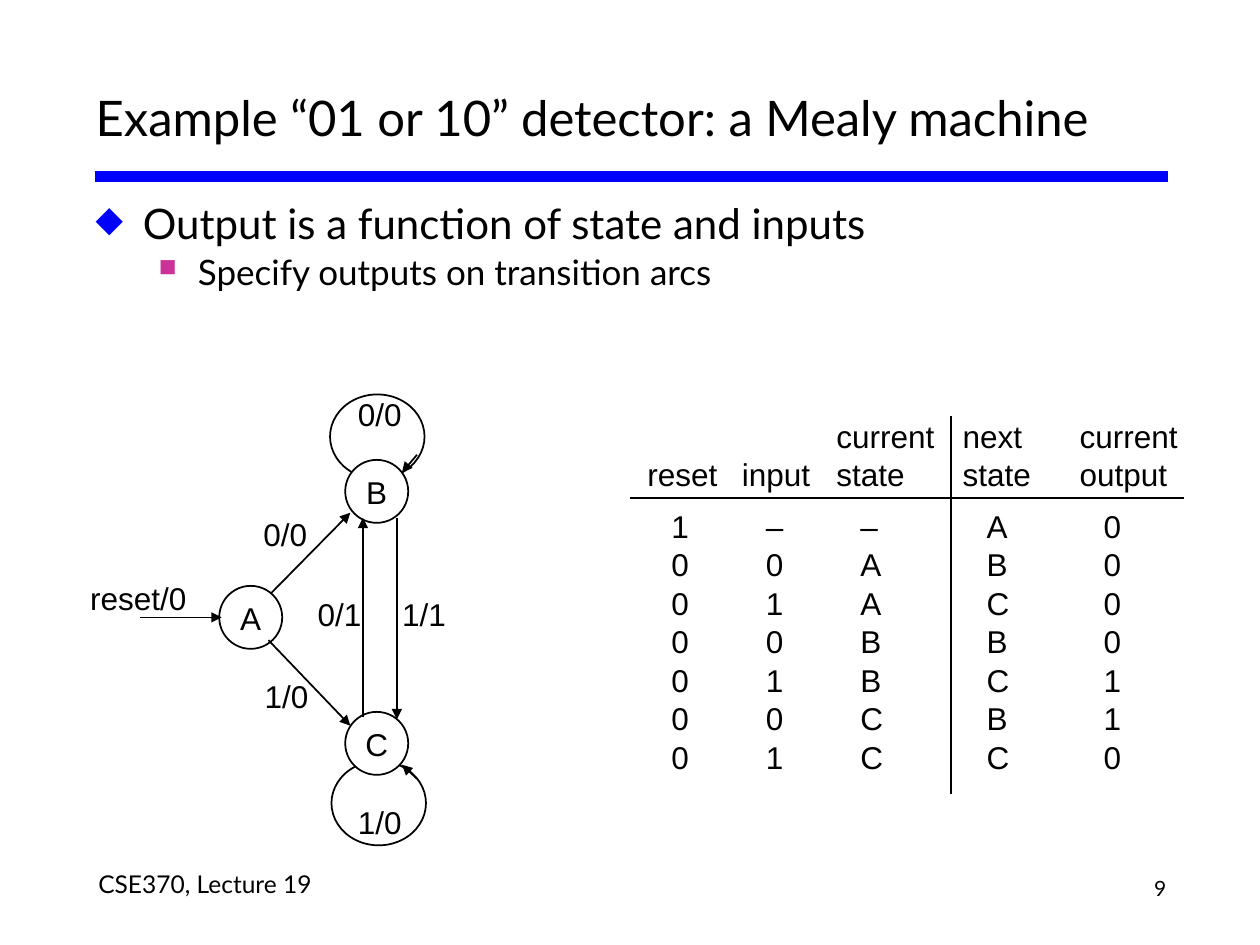
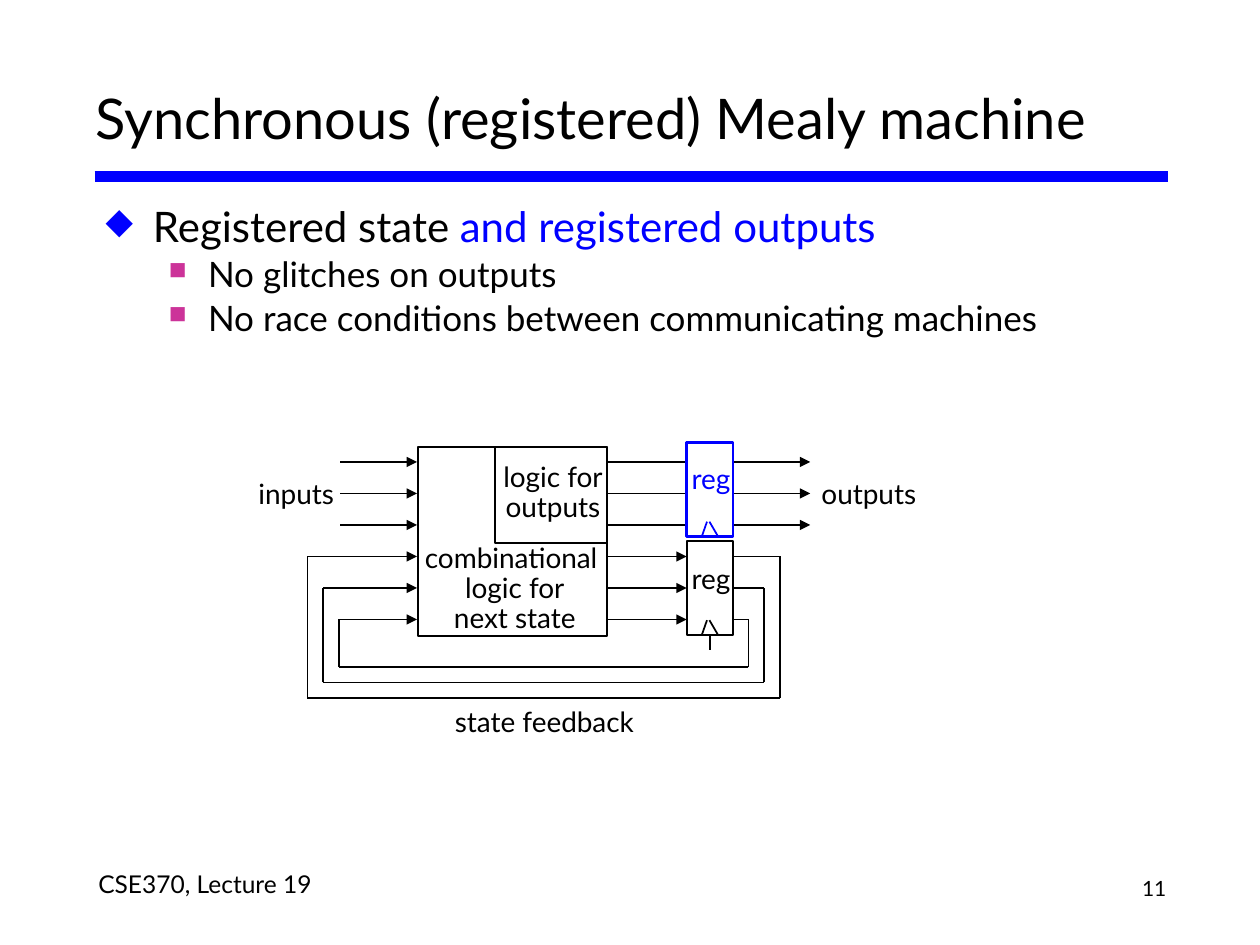
import pptx
import pptx.util
import pptx.dml.color
import pptx.enum.shapes
import pptx.enum.text
import pptx.oxml.ns
from lxml import etree

Pt = pptx.util.Pt
qn = pptx.oxml.ns.qn
SHAPE = pptx.enum.shapes.MSO_SHAPE
ALIGN = pptx.enum.text.PP_ALIGN
ANCHOR = pptx.enum.text.MSO_ANCHOR
BLACK = pptx.dml.color.RGBColor(0x00, 0x00, 0x00)
WHITE = pptx.dml.color.RGBColor(0xFF, 0xFF, 0xFF)
BLUE = pptx.dml.color.RGBColor(0x00, 0x00, 0xFF)
MAGENTA = pptx.dml.color.RGBColor(0xCC, 0x33, 0x99)
NO_TABLE_STYLE = "{2D5ABB26-0587-4C30-8999-92F81FD0307C}"


def add_label(slide, left, top, width, height, text, size, spacing,
              font="Lato", color=BLACK, align=ALIGN.LEFT):
    frame = slide.shapes.add_textbox(Pt(left), Pt(top), Pt(width), Pt(height)).text_frame
    frame.margin_left = frame.margin_right = Pt(1.44)
    frame.margin_top = frame.margin_bottom = Pt(2.16)
    frame.word_wrap = False
    frame.text = text
    paragraph = frame.paragraphs[0]
    paragraph.alignment = align
    paragraph.line_spacing = Pt(spacing)
    paragraph.font.size = Pt(size)
    paragraph.font.name = font
    paragraph.font.color.rgb = color


def add_line(slide, start, end, width=1, color=BLACK, arrow=False):
    line = slide.shapes.add_connector(
        pptx.enum.shapes.MSO_CONNECTOR.STRAIGHT,
        Pt(start[0]), Pt(start[1]), Pt(end[0]), Pt(end[1]))
    line.line.width = Pt(width)
    line.line.color.rgb = color
    properties = line._element.spPr
    if arrow:
        etree.SubElement(properties.find(qn("a:ln")), qn("a:tailEnd"), type="triangle")
    etree.SubElement(properties, qn("a:effectLst"))
    return line


deck = pptx.Presentation()
deck.slide_width = Pt(720)
deck.slide_height = Pt(540)

contents = [
    ("Example “01 or 10” detector: a Mealy machine", 28, "9", (47.5, 109.4, 625, 93.6), [
        (0, [("Output is a function of state and inputs", BLACK)]),
        (1, [("Specify outputs on transition arcs", BLACK)])]),
    ("Synchronous (registered) Mealy machine", 32, "11", (53.3, 110.9, 608.4, 128.2), [
        (0, [("Registered state ", BLACK), ("and registered outputs", BLUE)]),
        (1, [("No glitches on outputs", BLACK)]),
        (1, [("No race conditions between communicating machines", BLACK)])]),
]
bullet_styles = [
    (27, -27, BLUE, "85000", "◆", 24, 1.0),
    (58.5, -22.5, MAGENTA, "70000", "■", 20, 1.05),
]

for heading, heading_size, number, body_box, points in contents:
    slide = deck.slides.add_slide(deck.slide_layouts[5])
    title = slide.shapes.title
    title.left, title.top, title.width, title.height = Pt(47.5), Pt(37.4), Pt(625), Pt(59)
    title.text_frame.text = heading
    title.text_frame.vertical_anchor = ANCHOR.MIDDLE
    title.text_frame.auto_size = pptx.enum.text.MSO_AUTO_SIZE.NONE
    title_line = title.text_frame.paragraphs[0]
    title_line.alignment = ALIGN.LEFT
    title_line.font.size = Pt(heading_size)
    title_line.font.name = "Lato"
    title_line.font.color.rgb = BLACK

    add_line(slide, (54, 100.8), (667.4, 100.8), 6, BLUE)
    add_label(slide, 640, 496.8, 28, 26, number, 12, 16, align=ALIGN.RIGHT)
    add_label(slide, 54.7, 495.4, 267, 26.6, "CSE370, Lecture 19", 14, 16)

    body = slide.shapes.add_textbox(*map(Pt, body_box)).text_frame
    body.word_wrap = True
    for index, (level, pieces) in enumerate(points):
        indent, hanging, bullet_color, bullet_size, bullet, size, spacing = bullet_styles[level]
        point = body.add_paragraph() if index else body.paragraphs[0]
        point.level = level
        point.line_spacing = spacing
        properties = point._p.get_or_add_pPr()
        properties.set("marL", str(Pt(indent)))
        properties.set("indent", str(Pt(hanging)))
        etree.SubElement(etree.SubElement(properties, qn("a:buClr")),
                         qn("a:srgbClr"), val=str(bullet_color))
        etree.SubElement(properties, qn("a:buSzPct"), val=bullet_size)
        etree.SubElement(properties, qn("a:buChar"), char=bullet)
        for words, color in pieces:
            run = point.add_run()
            run.text = words
            run.font.size = Pt(size)
            run.font.name = "Lato"
            run.font.color.rgb = color

detector, registered = deck.slides

for left, top, width, height, state in [
        (189.4, 434.9, 54, 48.2, ""), (188.6, 225.4, 54, 48.2, ""),
        (125.3, 334.8, 36, 36, "A"), (197.3, 262.8, 36, 36, "B"), (197.3, 406.8, 36, 36, "C")]:
    circle = detector.shapes.add_shape(SHAPE.OVAL, Pt(left), Pt(top), Pt(width), Pt(height))
    circle.shadow.inherit = False
    circle.line.color.rgb = BLACK
    circle.line.width = Pt(1)
    if not state:
        circle.fill.background()
        continue
    circle.fill.solid()
    circle.fill.fore_color.rgb = WHITE
    frame = circle.text_frame
    frame.margin_left = frame.margin_right = frame.margin_top = frame.margin_bottom = 0
    frame.word_wrap = False
    frame.vertical_anchor = ANCHOR.MIDDLE
    frame.text = state
    name = frame.paragraphs[0]
    name.alignment = ALIGN.CENTER
    name.line_spacing = Pt(22)
    name.font.size = Pt(18)
    name.font.name = "Arial"
    name.font.color.rgb = BLACK

for start, end in [
        ((79.9, 352.8), (126.7, 352.8)), ((154.8, 339.1), (200.2, 293)),
        ((153.4, 365.8), (200.2, 414.7)), ((226.8, 295.9), (226.8, 411.1)),
        ((207.4, 409.7), (207.4, 295.9)), ((238.3, 259.9), (229.7, 270)),
        ((238.3, 445), (229.7, 437))]:
    add_line(detector, start, end, arrow=True)

for left, top, arc in [
        (172.1, 337.7, "0/1"), (141.1, 291.6, "0/0"), (195.1, 223.2, "0/0"),
        (220.3, 337.7, "1/1"), (195.1, 456.5, "1/0"), (141.8, 384.5, "1/0")]:
    add_label(detector, left, top, 43.9, 31.7, arc, 18, 22, "Arial", align=ALIGN.CENTER)
add_label(detector, 31, 328.3, 77, 31.7, "reset/0", 18, 22, "Arial", align=ALIGN.RIGHT)

transitions = [
    ["reset", "input", "current\vstate", "next\vstate", "current\voutput"],
    *map(str.split, ["1 – – A 0", "0 0 A B 0", "0 1 A C 0", "0 0 B B 0",
                     "0 1 B C 1", "0 0 C B 1", "0 1 C C 0"])]
column_widths = [54, 54, 75.6, 63.4, 69.8]
row_heights = [46.4, 27] + [22] * 5 + [32]
truth_table = detector.shapes.add_table(
    len(row_heights), len(column_widths), Pt(360), Pt(238),
    Pt(sum(column_widths)), Pt(sum(row_heights))).table
truth_table.first_row = False
truth_table.horz_banding = False
truth_table._tbl.tblPr.find(qn("a:tableStyleId")).text = NO_TABLE_STYLE
for column, width in zip(truth_table.columns, column_widths):
    column.width = Pt(width)
for r, values in enumerate(transitions):
    truth_table.rows[r].height = Pt(row_heights[r])
    for c, value in enumerate(values):
        cell = truth_table.cell(r, c)
        cell.margin_left = Pt((6.5 if c == 3 else 10) + (13.7 if r else 0))
        cell.margin_right = cell.margin_top = 0
        cell.margin_bottom = Pt(0 if r else 2.4)
        cell.vertical_anchor = ANCHOR.BOTTOM if r < 2 else ANCHOR.TOP
        cell.text = value
        entry = cell.text_frame.paragraphs[0]
        entry.line_spacing = Pt(22)
        entry.font.size = Pt(18)
        entry.font.name = "Arial"
        entry.font.color.rgb = BLACK
        for edge, ruled in [("a:lnR", c == 2), ("a:lnB", r == 0)]:
            if ruled:
                border = etree.SubElement(cell._tc.get_or_add_tcPr(), qn(edge), w=str(Pt(1.5)))
                ink = etree.SubElement(border, qn("a:solidFill"))
                etree.SubElement(ink, qn("a:srgbClr"), val=str(BLACK))
        cell.fill.background()

wire_rows = [264 + 18 * i for i in range(6)]
for y in wire_rows[:3]:
    add_line(registered, (194.4, y), (238.3, y), arrow=True)
    add_line(registered, (347, y), (463, y), arrow=True)

blocks = []
for left, top, width, height, color, weight, filled in [
        (239, 255.6, 108, 108, BLACK, 1, True),
        (283, 255.6, 64, 54.7, BLACK, 1, False),
        (392.4, 309, 26.6, 54, BLACK, 1, True),
        (392.4, 252.7, 26.6, 54, BLUE, 1.5, True)]:
    block = registered.shapes.add_shape(SHAPE.RECTANGLE, Pt(left), Pt(top), Pt(width), Pt(height))
    block.shadow.inherit = False
    block.line.color.rgb = color
    block.line.width = Pt(weight)
    if filled:
        block.fill.solid()
        block.fill.fore_color.rgb = WHITE
    else:
        block.fill.background()
    blocks.append(block)
state_register = blocks[2]

for k, y in enumerate(reversed(wire_rows[3:])):
    right, bottom, left = 427.7 + 9 * k, 381 + 9 * k, 193.7 - 9 * k
    to_register = add_line(registered, (347, y), (392.4, y), arrow=True)
    corners = [(419, y), (right, y), (right, bottom), (left, bottom), (left, y)]
    feedback = [add_line(registered, a, b) for a, b in zip(corners, corners[1:])]
    add_line(registered, (left, y), (238.3, y), arrow=True)
    if k == 1:
        to_register.end_connect(state_register, 1)
        feedback[0].begin_connect(state_register, 3)

for bottom, color in [(363, BLACK), (306.7, BLUE)]:
    for foot, tip in [(401, 404), (410.4, 405.4)]:
        add_line(registered, (foot, bottom), (tip, bottom - 8.6), color=color)
clock = add_line(registered, (405.7, 363), (405.7, 371.5))
clock.begin_connect(state_register, 2)

for left, top, width, height, text, color, align in [
        (146.2, 272.2, 56.9, 46.8, "inputs", BLACK, ALIGN.LEFT),
        (468, 272.2, 64.8, 46.8, "outputs", BLACK, ALIGN.LEFT),
        (258.5, 402.5, 159, 23.8, "state feedback", BLACK, ALIGN.LEFT),
        (393.8, 321.1, 43.9, 46.8, "reg", BLACK, ALIGN.LEFT),
        (393.8, 263.5, 43.9, 46.8, "reg", BLUE, ALIGN.LEFT),
        (239.8, 308.9, 108.7, 80.6, "combinational \vlogic for\vnext state", BLACK, ALIGN.CENTER),
        (275, 262.8, 82, 64, "logic for\voutputs", BLACK, ALIGN.CENTER)]:
    add_label(registered, left, top, width, height, text, 16, 17, color=color, align=align)

deck.save("out.pptx")
